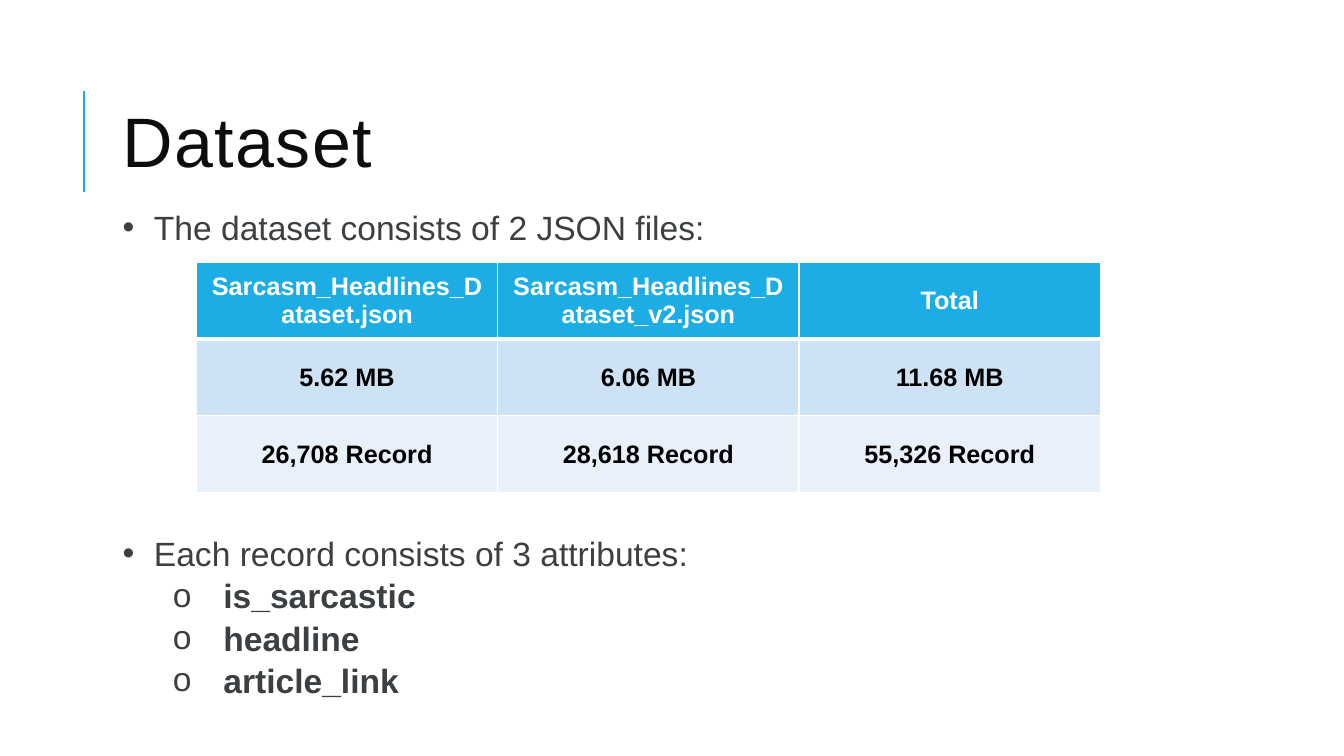
from dataclasses import dataclass

from lxml.etree import SubElement
from pptx import Presentation
from pptx.dml.color import RGBColor as RGB
from pptx.enum.shapes import MSO_CONNECTOR as Connector
from pptx.enum.text import MSO_ANCHOR as Anchor, PP_ALIGN as Align
from pptx.oxml.ns import qn
from pptx.util import Cm, Pt


@dataclass(frozen=True)
class Theme:
    font: str = "Arial"
    accent: RGB = RGB(0x1C, 0xAD, 0xE4)
    title: RGB = RGB(0x0D, 0x0D, 0x0D)
    body: RGB = RGB(0x3C, 0x40, 0x43)
    white: RGB = RGB(0xFF, 0xFF, 0xFF)
    black: RGB = RGB(0, 0, 0)
    bands: tuple = (RGB(0xCD, 0xE3, 0xF5), RGB(0xE8, 0xF1, 0xFA))
    title_size: Pt = Pt(50)
    body_size: Pt = Pt(24)
    table_size: Pt = Pt(18)


THEME = Theme()

FILES = [
    ("Sarcasm_Headlines_Dataset.json", "Sarcasm_Headlines_Dataset_v2.json", "Total"),
    ("5.62 MB", "6.06 MB", "11.68 MB"),
    ("26,708 Record", "28,618 Record", "55,326 Record"),
]
ATTRIBUTES = ("is_sarcastic", "headline", "article_link")


def style(paragraph, size, color, bold=False):
    font = paragraph.font
    font.name, font.size, font.bold = THEME.font, size, bold
    font.color.rgb = color


def add_bullet(paragraph, mark, indent, hanging):
    props = paragraph._p.get_or_add_pPr()
    props.set("marL", str(indent))
    props.set("indent", str(-hanging))
    SubElement(props, qn("a:buFont"), typeface=THEME.font)
    SubElement(props, qn("a:buChar"), char=mark)


def add_title(slide, text, left, top, width, height):
    """Title with the accent rule to its left."""
    rule_x, rule_top = left - Cm(0.73), top + Cm(0.66)
    rule = slide.shapes.add_connector(
        Connector.STRAIGHT, rule_x, rule_top + Cm(2.54), rule_x, rule_top)
    rule.line.color.rgb = THEME.accent
    rule.line.width = Pt(1.5)
    SubElement(rule._element.spPr, qn("a:effectLst"))

    frame = slide.shapes.add_textbox(left, top, width, height).text_frame
    frame.word_wrap = True
    frame.vertical_anchor = Anchor.MIDDLE
    heading = frame.paragraphs[0]
    run = heading.add_run()
    run.text = text
    run._r.get_or_add_rPr().set("spc", "100")
    heading.line_spacing = 0.8
    style(heading, THEME.title_size, THEME.title)


def add_points(slide, left, top, width, height, table_gap):
    """Two main points, table_gap apart, the second with the attributes below it."""
    frame = slide.shapes.add_textbox(left, top, width, height).text_frame
    frame.word_wrap = True
    points = [("The dataset consists of 2 JSON files:", 0),
              ("Each record consists of 3 attributes:", 0)]
    points += [(name, 1) for name in ATTRIBUTES]
    for i, (text, level) in enumerate(points):
        point = frame.paragraphs[0] if i == 0 else frame.add_paragraph()
        point.text = text
        point.level = level
        point.line_spacing = 1.05
        if i == 1:
            point.space_before = table_gap
        if level:
            add_bullet(point, "o", Cm(2.54), Cm(1.27))
        else:
            add_bullet(point, "•", Cm(0.79), Cm(0.79))
        style(point, THEME.body_size, THEME.body, bold=level == 1)


def add_borders(cell, **widths):
    props = cell._tc.get_or_add_tcPr()
    for side in "LRTB":
        line = SubElement(props, qn(f"a:ln{side}"), w=str(widths.get(side, Pt(1))))
        fill = SubElement(line, qn("a:solidFill"))
        SubElement(fill, qn("a:srgbClr"), val=str(THEME.white))


def add_files_table(slide, left, top, width, height):
    table = slide.shapes.add_table(
        len(FILES), len(FILES[0]), left, top, width, height).table
    for r, values in enumerate(FILES):
        header = r == 0
        for c, value in enumerate(values):
            cell = table.cell(r, c)
            add_borders(cell, **{0: {"B": Pt(3)}, 1: {"T": Pt(3)}}.get(r, {}))
            cell.fill.solid()
            cell.fill.fore_color.rgb = THEME.accent if header else THEME.bands[r - 1]
            cell.vertical_anchor = Anchor.MIDDLE
            cell.text = value
            entry = cell.text_frame.paragraphs[0]
            entry.alignment = Align.CENTER
            style(entry, THEME.table_size,
                  THEME.white if header else THEME.black, bold=True)


def main():
    deck = Presentation()
    deck.slide_width, deck.slide_height = Cm(33.87), Cm(19.05)
    slide = deck.slides.add_slide(deck.slide_layouts[6])
    left = Cm(2.84)
    add_title(slide, "Dataset", left, Cm(1.63), Cm(27), Cm(4.17))
    add_points(slide, left, Cm(5.03), Cm(25.7), Cm(12.57), table_gap=Pt(203))
    add_files_table(slide, Cm(4.95), Cm(6.6), Cm(22.78), Cm(5.82))
    deck.save("out.pptx")


if __name__ == "__main__":
    main()
